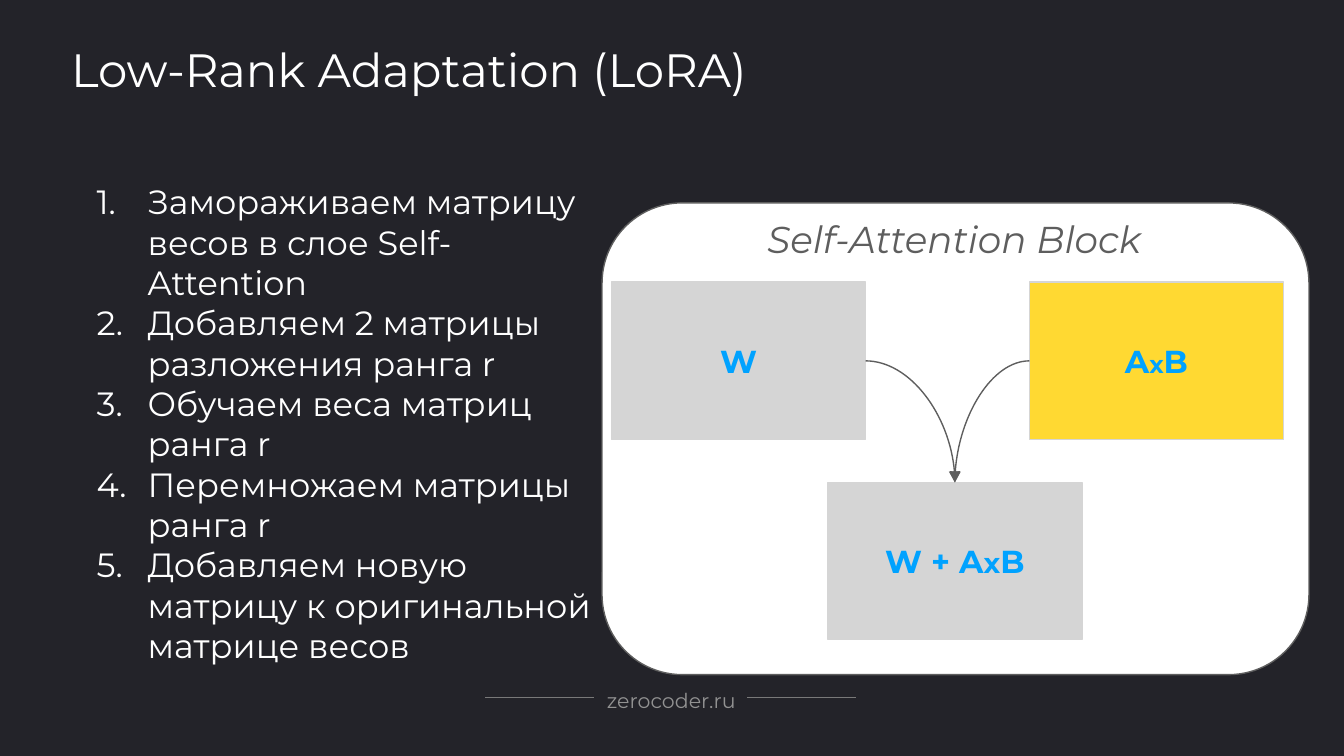
from dataclasses import dataclass

from lxml import etree
from pptx import Presentation
from pptx.dml.color import RGBColor
from pptx.enum.shapes import MSO_CONNECTOR, MSO_SHAPE
from pptx.enum.text import MSO_ANCHOR, PP_ALIGN
from pptx.oxml.ns import qn
from pptx.util import Inches, Pt

RECT, ROUNDED = MSO_SHAPE.RECTANGLE, MSO_SHAPE.ROUNDED_RECTANGLE
STRAIGHT, CURVE = MSO_CONNECTOR.STRAIGHT, MSO_CONNECTOR.CURVE
LEFT, CENTER = PP_ALIGN.LEFT, PP_ALIGN.CENTER
TOP, MIDDLE = MSO_ANCHOR.TOP, MSO_ANCHOR.MIDDLE
SITE_TOP, SITE_LEFT, SITE_RIGHT = 0, 1, 3


@dataclass(frozen=True)
class Theme:
    """Colours, font and type sizes of the slide."""
    font: str = "Montserrat"
    bg: str = "232329"
    white: str = "FFFFFF"
    ink: str = "5E5E5E"
    gray: str = "D5D5D5"
    yellow: str = "FFD932"
    blue: str = "00A2FF"
    footer: str = "929292"
    rule: str = "797979"
    title_size: int = 25
    block_size: int = 20
    body_size: int = 18
    label_size: int = 17
    sum_sign_size: int = 15
    product_sign_size: int = 13
    footer_size: int = 11


THEME = Theme()
STEPS = [
    "Замораживаем матрицу весов в слое Self-Attention",
    "Добавляем 2 матрицы разложения ранга r",
    "Обучаем веса матриц ранга r",
    "Перемножаем матрицы ранга r",
    "Добавляем новую матрицу к оригинальной матрице весов",
]


def rgb(value):
    """Turn a hex string into a colour."""
    return RGBColor.from_string(value)


def add_run(p, text, size, color, bold=False, italic=False):
    """Add one formatted run to a paragraph."""
    r = p.add_run()
    r.text = text
    font = r.font
    font.name, font.size = THEME.font, Pt(size)
    font.bold, font.italic = bold, italic
    font.color.rgb = rgb(color)


def set_frame(tf, inset, anchor):
    """Set wrapping, margins and vertical anchor of a text frame."""
    tf.word_wrap = True
    tf.vertical_anchor = anchor
    tf.margin_left = tf.margin_right = Inches(inset)
    tf.margin_top = tf.margin_bottom = Inches(inset)


def number_paragraph(p, color):
    """Give a paragraph an automatic number and a hanging indent."""
    pPr = p._p.get_or_add_pPr()
    pPr.set("marL", str(Inches(0.5)))
    pPr.set("indent", str(Inches(-0.38)))
    clr = etree.SubElement(pPr, qn("a:buClr"))
    etree.SubElement(clr, qn("a:srgbClr")).set("val", color)
    etree.SubElement(pPr, qn("a:buAutoNum")).set("type", "arabicPeriod")


def add_text(s, box, lines, size, color, inset=0.1, anchor=TOP, align=LEFT,
             spacing=None, italic=False, numbered=False):
    """Add a text box with one paragraph per line."""
    tf = s.shapes.add_textbox(*map(Inches, box)).text_frame
    set_frame(tf, inset, anchor)
    for i, line in enumerate(lines):
        p = tf.add_paragraph() if i else tf.paragraphs[0]
        p.alignment = align
        if spacing:
            p.line_spacing = spacing
        if numbered:
            number_paragraph(p, color)
        add_run(p, line, size, color, italic=italic)


def add_box(s, kind, box, fill, line):
    """Add a filled and outlined shape."""
    sp = s.shapes.add_shape(kind, *map(Inches, box))
    sp.shadow.inherit = False
    sp.fill.solid()
    sp.fill.fore_color.rgb = rgb(fill)
    sp.line.color.rgb = rgb(line)
    sp.line.width = Pt(0.75)
    return sp


def add_matrix(s, left, top, fill, parts):
    """Add a matrix box labelled with (text, size) parts."""
    sp = add_box(s, RECT, (left, top, 1.89, 1.17), fill, THEME.gray)
    set_frame(sp.text_frame, 0.1, MIDDLE)
    p = sp.text_frame.paragraphs[0]
    p.alignment = CENTER
    for text, size in parts:
        add_run(p, text, size, THEME.blue, bold=True)
    return sp


def add_line(s, kind, start, end, color, width):
    """Add a connector without a shadow."""
    cxn = s.shapes.add_connector(kind, *start, *end)
    cxn.line.color.rgb = rgb(color)
    cxn.line.width = Pt(width)
    etree.SubElement(cxn._element.spPr, qn("a:effectLst"))
    return cxn


def add_curved_arrow(s, source, site, target):
    """Join a side of one box to the top of another by a curved arrow."""
    cxn = add_line(s, CURVE, (0, 0), (0, 0), THEME.ink, 0.75)
    cxn.begin_connect(source, site)
    cxn.end_connect(target, SITE_TOP)
    spPr = cxn._element.spPr
    spPr.find(qn("a:prstGeom")).set("prst", "curvedConnector2")
    tail = etree.SubElement(spPr.find(qn("a:ln")), qn("a:tailEnd"))
    tail.set("type", "triangle")


def add_footer(s):
    """Add the site address between two rules."""
    add_text(s, (4.3, 5.1, 1.39, 0.19), ["zerocoder.ru"], THEME.footer_size,
             THEME.footer, inset=0, anchor=MIDDLE, align=CENTER, spacing=1.2)
    y = Inches(5.19)
    for x in (3.61, 5.56):
        add_line(s, STRAIGHT, (Inches(x), y), (Inches(x + 0.81), y),
                 THEME.rule, 1)


def add_diagram(s):
    """Add the attention block with its matrices and arrows."""
    size = THEME.label_size
    panel = add_box(s, ROUNDED, (4.48, 1.51, 5.26, 3.51), THEME.white, THEME.ink)
    panel.adjustments[0] = 0.17
    weights = add_matrix(s, 4.55, 2.1, THEME.gray, [("W", size)])
    product = add_matrix(s, 7.66, 2.1, THEME.yellow,
                         [("A", size), ("x", THEME.product_sign_size), ("B", size)])
    total = add_matrix(s, 6.16, 3.59, THEME.gray,
                       [("W + A", size), ("x", THEME.sum_sign_size), ("B", size)])
    add_curved_arrow(s, product, SITE_LEFT, total)
    add_curved_arrow(s, weights, SITE_RIGHT, total)
    add_text(s, (4.99, 1.51, 4.22, 0.54), ["Self-Attention Block"],
             THEME.block_size, THEME.ink, align=CENTER, italic=True)


def main():
    """Build the slide and save it."""
    prs = Presentation()
    prs.slide_width, prs.slide_height = Inches(10), Inches(10 * 9 / 16)
    s = prs.slides.add_slide(prs.slide_layouts[6])
    s.background.fill.solid()
    s.background.fill.fore_color.rgb = rgb(THEME.bg)
    add_footer(s)
    add_text(s, (0.5, 0.27, 9.4, 0.48), ["Low-Rank Adaptation (LoRA)"],
             THEME.title_size, THEME.white, inset=0.03, anchor=MIDDLE)
    add_diagram(s)
    add_text(s, (0.5, 1.25, 4.05, 3.84), STEPS, THEME.body_size, THEME.white,
             numbered=True)
    prs.save("out.pptx")


if __name__ == "__main__":
    main()
